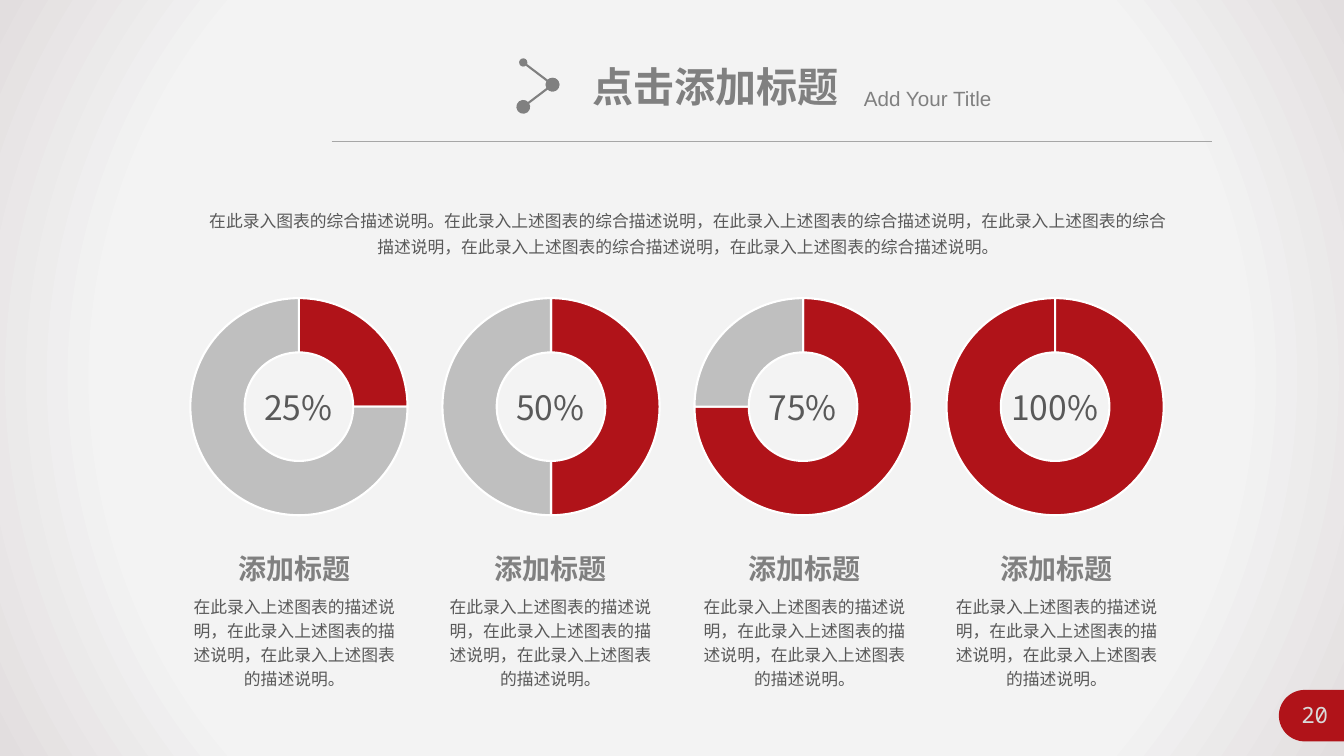
from math import cos, pi, sin

from lxml import etree
from pptx import Presentation
from pptx.chart.data import CategoryChartData
from pptx.dml.color import RGBColor
from pptx.enum.chart import XL_CHART_TYPE as ChartType
from pptx.enum.shapes import MSO_CONNECTOR as Connector, MSO_SHAPE as Shape
from pptx.enum.text import MSO_AUTO_SIZE as AutoSize, PP_ALIGN as Align
from pptx.oxml import parse_xml
from pptx.oxml.ns import nsdecls, qn
from pptx.util import Inches, Pt

COLORS = {"red": "B01319", "ring": "BFBFBF", "heading": "808080", "body": "595959",
          "rule": "A6A6A6", "page": "D9D9D9", "white": "FFFFFF", "black": "000000"}
BACKDROP_STOPS = [(0, "F5F5F5"), (73, "F3F3F3"), (100, "E2DEDF")]
CJK = "Noto Sans CJK SC"


def color(name):
    return RGBColor.from_string(COLORS[name])


def add_text(box, text, size, tint, font=CJK, align=Align.CENTER, bold=False, spacing=None, wrap=True):
    frame = slide.shapes.add_textbox(*map(Inches, box)).text_frame
    frame.word_wrap = wrap
    frame.auto_size = AutoSize.SHAPE_TO_FIT_TEXT
    paragraph = frame.paragraphs[0]
    paragraph.text = text
    paragraph.alignment = align
    if spacing:
        paragraph.line_spacing = spacing
    paragraph.font.size = Pt(size)
    paragraph.font.bold = bold
    paragraph.font.color.rgb = color(tint)
    paragraph.font.name = font
    properties = paragraph.font._element
    etree.SubElement(properties, qn("a:ea")).set("typeface", CJK)


def add_line(start, end, tint, width, dots=()):
    line = slide.shapes.add_connector(Connector.STRAIGHT, *map(Inches, start + end))
    line.line.color.rgb = color(tint)
    line.line.width = Pt(width)
    for tag, size in dots:
        dot = etree.SubElement(line.line._get_or_add_ln(), qn(tag))
        dot.set("type", "oval")
        dot.set("w", size)
        dot.set("len", size)
    etree.SubElement(line._element.spPr, qn("a:effectLst"))


deck = Presentation()
deck.slide_width, deck.slide_height = Inches(13.33), Inches(7.5)
slide = deck.slides.add_slide(deck.slide_layouts[6])

backdrop = slide.shapes.add_shape(Shape.RECTANGLE, 0, 0, deck.slide_width, deck.slide_height)
backdrop.shadow.inherit = False
backdrop.line.fill.background()
stops = "".join(f'<a:gs pos="{pos * 1000}"><a:srgbClr val="{tint}"/></a:gs>' for pos, tint in BACKDROP_STOPS)
backdrop._element.spPr.find(qn("a:prstGeom")).addnext(parse_xml(
    f'<a:gradFill {nsdecls("a")} rotWithShape="1"><a:gsLst>{stops}</a:gsLst><a:path path="circle">'
    '<a:fillToRect l="50000" t="50000" r="50000" b="50000"/></a:path></a:gradFill>'))

add_line((3.29, 1.4), (12.02, 1.4), "rule", 0.5)

badge_x, badge_y, badge_radius = 12.94, 7.1, 0.255
arc = [(badge_x - badge_radius * sin(pi * i / 40), badge_y - badge_radius * cos(pi * i / 40))
       for i in range(41)]
outline = slide.shapes.build_freeform(Inches(13.33), Inches(badge_y - badge_radius))
outline.add_line_segments([(Inches(x), Inches(y)) for x, y in arc]
                          + [(Inches(13.33), Inches(badge_y + badge_radius))])
badge = outline.convert_to_shape()
badge.shadow.inherit = False
badge.fill.solid()
badge.fill.fore_color.rgb = color("red")
badge.line.fill.background()
add_text((12.71, 6.91, 0.66, 0.37), "20", 16, "page", font="Noto Sans Mono")

add_line((5.19, 0.62), (5.48, 0.84), "heading", 1.5, [("a:headEnd", "med"), ("a:tailEnd", "lg")])
add_line((5.48, 0.84), (5.19, 1.06), "heading", 1.5, [("a:headEnd", "lg"), ("a:tailEnd", "lg")])
add_text((5.78, 0.56, 2.67, 0.59), "点击添加标题", 29.3, "heading", "Arial", Align.LEFT, True, wrap=False)
add_text((8.47, 0.8, 2.52, 0.35), "Add Your Title", 14.7, "heading", "Arial", Align.LEFT)

summary = "在此录入图表的综合描述说明。" + "，".join(["在此录入上述图表的综合描述说明"] * 5) + "。"
add_text((1.95, 1.98, 9.75, 0.63), summary, 12, "body", spacing=1.3)

description = "，".join(["在此录入上述图表的描述说明"] * 3) + "。"
for column, (percent, caption_left) in enumerate([(25, 1.82), (50, 4.36), (75, 6.88), (100, 9.38)]):
    ring_left = 1.75 + 2.5 * column
    data = CategoryChartData()
    data.categories = ["1", "2"]
    data.add_series("Series 1", (percent, 100 - percent))
    ring = slide.shapes.add_chart(ChartType.DOUGHNUT, Inches(ring_left), Inches(2.75),
                                  Inches(2.43), Inches(2.57), data).chart
    ring.has_legend = False
    ring.has_title = False
    ring.font.size = Pt(10)
    ring.font.name = "Calibri"
    ring.font.color.rgb = color("black")
    plot = ring.plots[0]
    plot.vary_by_categories = True
    plot._element.find(qn("c:holeSize")).set("val", "75")
    for index, tint in enumerate(["red", "ring" if percent < 100 else "red"]):
        slice_format = plot.series[0].points[index].format
        slice_format.fill.solid()
        slice_format.fill.fore_color.rgb = color(tint)
        slice_format.line.color.rgb = color("white")
        slice_format.line.width = Pt(1.5)

    add_text((ring_left + 0.36, 3.79, 1.7, 0.5), f"{percent}%", 24, "body")
    add_text((caption_left + 0.44, 5.42, 1.32, 0.44), "添加标题", 20, "heading", bold=True, wrap=False)
    add_text((caption_left, 5.83, 2.2, 1.07), description, 12, "body", spacing=1.2)

deck.save("out.pptx")
